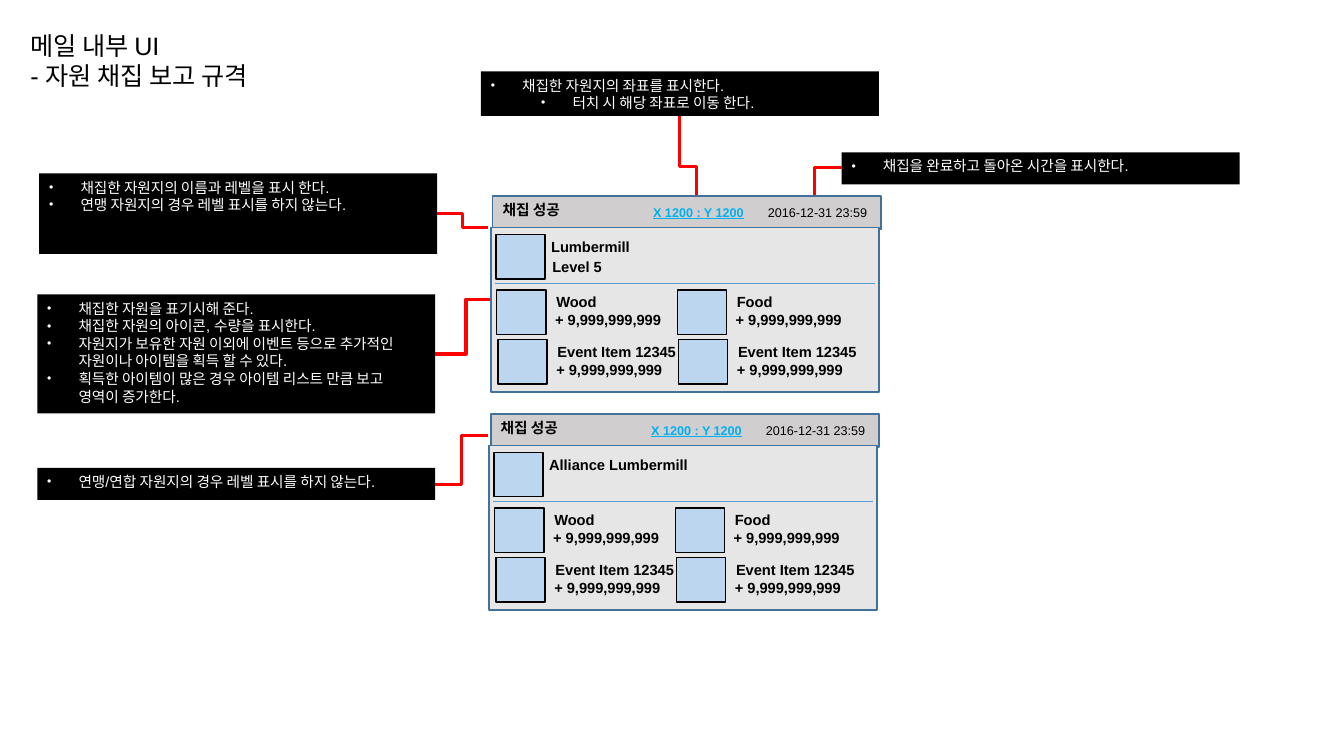
from lxml import etree
from pptx import Presentation
from pptx import util as u
from pptx.dml.color import RGBColor
from pptx.enum import shapes as kinds, text
from pptx.oxml import ns

COLORS = {
    "black": "000000", "white": "FFFFFF", "red": "FF0000", "link": "00B0F0",
    "header": "D0CECE", "body": "E7E6E6", "icon": "BBD6EE",
    "border": "42719B", "divider": "5B9BD5",
}
FONT = "Arial"


def add_rectangle(container, left, top, width, height, fill, line=None):
    shape = container.add_shape(kinds.MSO_SHAPE.RECTANGLE,
                                u.Cm(left), u.Cm(top), u.Cm(width), u.Cm(height))
    shape.shadow.inherit = False
    shape.fill.solid()
    shape.fill.fore_color.rgb = RGBColor.from_string(COLORS[fill])
    if line:
        shape.line.color.rgb = RGBColor.from_string(COLORS[line])
        shape.line.width = u.Pt(1)
    else:
        shape.line.fill.background()
    return shape


def add_label(container, wording, left, top, width, size=10.5, bold=True, color="black"):
    box = container.add_textbox(u.Cm(left), u.Cm(top), u.Cm(width), u.Cm(0.7))
    box.text_frame.word_wrap = True
    paragraph = box.text_frame.paragraphs[0]
    paragraph.text = wording
    paragraph.font.name = FONT
    paragraph.font.size = u.Pt(size)
    paragraph.font.bold = bold
    paragraph.font.color.rgb = RGBColor.from_string(COLORS[color])
    return paragraph


presentation = Presentation()
presentation.slide_width = u.Cm(33.87)
presentation.slide_height = u.Cm(19.05)
slide = presentation.slides.add_slide(presentation.slide_layouts[5])

# Title
title = slide.shapes.title
title.left, title.top, title.width, title.height = u.Cm(0.51), u.Cm(0.64), u.Cm(7.04), u.Cm(1.02)
frame = title.text_frame
frame.text = "메일 내부 UI\n- 자원 채집 보고 규격"
frame.vertical_anchor = text.MSO_ANCHOR.TOP
frame.auto_size = text.MSO_AUTO_SIZE.NONE
for paragraph in frame.paragraphs:
    paragraph.alignment = text.PP_ALIGN.LEFT
    paragraph.font.name = FONT
    paragraph.font.size = u.Pt(18)
    paragraph.font.color.rgb = RGBColor.from_string(COLORS["black"])

# Callouts: left, top, height, (level, wording) lines
callouts = [
    (21.21, 3.84, 0.81, [(0, "채집을 완료하고 돌아온 시간을 표시한다.")]),
    (0.94, 7.42, 3.0, [
        (0, "채집한 자원을 표기시해 준다."),
        (0, "채집한 자원의 아이콘, 수량을 표시한다."),
        (0, "자원지가 보유한 자원 이외에 이벤트 등으로 추가적인 자원이나 아이템을 획득 할 수 있다."),
        (0, "획득한 아이템이 많은 경우 아이템 리스트 만큼 보고 영역이 증가한다."),
    ]),
    (12.12, 1.8, 1.12, [
        (0, "채집한 자원지의 좌표를 표시한다."),
        (1, "터치 시 해당 좌표로 이동 한다."),
    ]),
    (0.99, 4.37, 2.03, [
        (0, "채집한 자원지의 이름과 레벨을 표시 한다."),
        (0, "연맹 자원지의 경우 레벨 표시를 하지 않는다."),
    ]),
    (0.94, 11.79, 0.81, [(0, "연맹/연합 자원지의 경우 레벨 표시를 하지 않는다.")]),
]
for left, top, height, lines in callouts:
    callout = add_rectangle(slide.shapes, left, top, 10.03, height, "black")
    frame = callout.text_frame
    frame.vertical_anchor = text.MSO_ANCHOR.TOP
    frame.text = "\n".join(wording for level, wording in lines)
    for paragraph, (level, wording) in zip(frame.paragraphs, lines):
        paragraph.level = level
        paragraph.alignment = text.PP_ALIGN.LEFT
        properties = paragraph._p.get_or_add_pPr()
        properties.set("marL", str(u.Cm(0.79 + 1.27 * level)))
        properties.set("indent", str(u.Cm(-0.79)))
        bullet_color = etree.SubElement(properties, ns.qn("a:buClr"))
        etree.SubElement(bullet_color, ns.qn("a:srgbClr"), val=COLORS["white"])
        etree.SubElement(properties, ns.qn("a:buSzPct"), val="83000")
        etree.SubElement(properties, ns.qn("a:buFont"), typeface=FONT)
        etree.SubElement(properties, ns.qn("a:buChar"), char="•")
        paragraph.font.name = FONT
        paragraph.font.size = u.Pt(10.5)
        paragraph.font.color.rgb = RGBColor.from_string(COLORS["white"])

# Leaders: begin and end before turning, degrees of turn, preset
leaders = [
    (12.52, 7.54, 10.97, 8.92, 0, "bentConnector3"),
    (18.62, 3.99, 16.08, 4.42, 90, "bentConnector3"),
    (20.24, 4.52, 21.51, 5.21, 270, "bentConnector2"),
    (12.29, 5.74, 11.02, 5.38, 0, "bentConnector3"),
    (12.29, 10.97, 10.97, 12.2, 0, "bentConnector3"),
]
connectors = []
for begin_x, begin_y, end_x, end_y, turn, preset in leaders:
    leader = slide.shapes.add_connector(kinds.MSO_CONNECTOR.ELBOW, u.Cm(begin_x), u.Cm(begin_y),
                                        u.Cm(end_x), u.Cm(end_y))
    outline = leader._element.spPr
    outline.find(ns.qn("a:prstGeom")).set("prst", preset)
    if turn:
        outline.find(ns.qn("a:xfrm")).set("rot", str(turn * 60000))
    connectors.append((leader, "red", 2.25))

# Report panels: left and top of the body, site name, level
panels = [
    (12.32, 11.23, "Alliance Lumbermill", None),
    (12.37, 5.74, "Lumbermill", "Level 5"),
]
items = [["Wood", "Food"], ["Event Item 12345", "Event Item 12345"]]
for left, top, site, level in panels:
    panel = slide.shapes.add_group_shape().shapes
    add_rectangle(panel, left + 0.05, top - 0.8, 9.78, 0.84, "header", "border")
    add_label(panel, "채집 성공", left + 0.05, top - 0.8, 2.31)
    add_label(panel, "2016-12-31 23:59", left + 6.73, top - 0.69, 3.91, 9, False)
    coordinates = add_label(panel, "X 1200 : Y 1200", left + 3.84, top - 0.71, 2.95, 9, color="link")
    coordinates.font.underline = True

    add_rectangle(panel, left, top, 9.78, 4.14, "body", "border")
    add_rectangle(panel, left + 0.13, top + 0.17, 1.24, 1.12, "icon", "black")
    add_label(panel, site, left + 1.27, top + 0.13, 4.67)
    if level:
        add_label(panel, level, left + 1.3, top + 0.64, 4.67)
    divider = panel.add_connector(kinds.MSO_CONNECTOR.STRAIGHT, u.Cm(left + 0.1), u.Cm(top + 1.4),
                                  u.Cm(left + 9.68), u.Cm(top + 1.4))
    connectors.append((divider, "divider", 0.75))

    for row, names in enumerate(items):
        for column, name in enumerate(names):
            item_left = left + 0.15 + 4.55 * column + 0.03 * row
            item_top = top + 1.57 + 1.25 * row
            add_rectangle(panel, item_left, item_top, 1.24, 1.12, "icon", "black")
            add_label(panel, name, item_left + 1.25, item_top - 0.05, 3.75)
            add_label(panel, "+ 9,999,999,999", item_left + 1.22, item_top + 0.4, 3.38)

for connector, color, width in connectors:
    connector.line.color.rgb = RGBColor.from_string(COLORS[color])
    connector.line.width = u.Pt(width)
    etree.SubElement(connector._element.spPr, ns.qn("a:effectLst"))

presentation.save("out.pptx")
